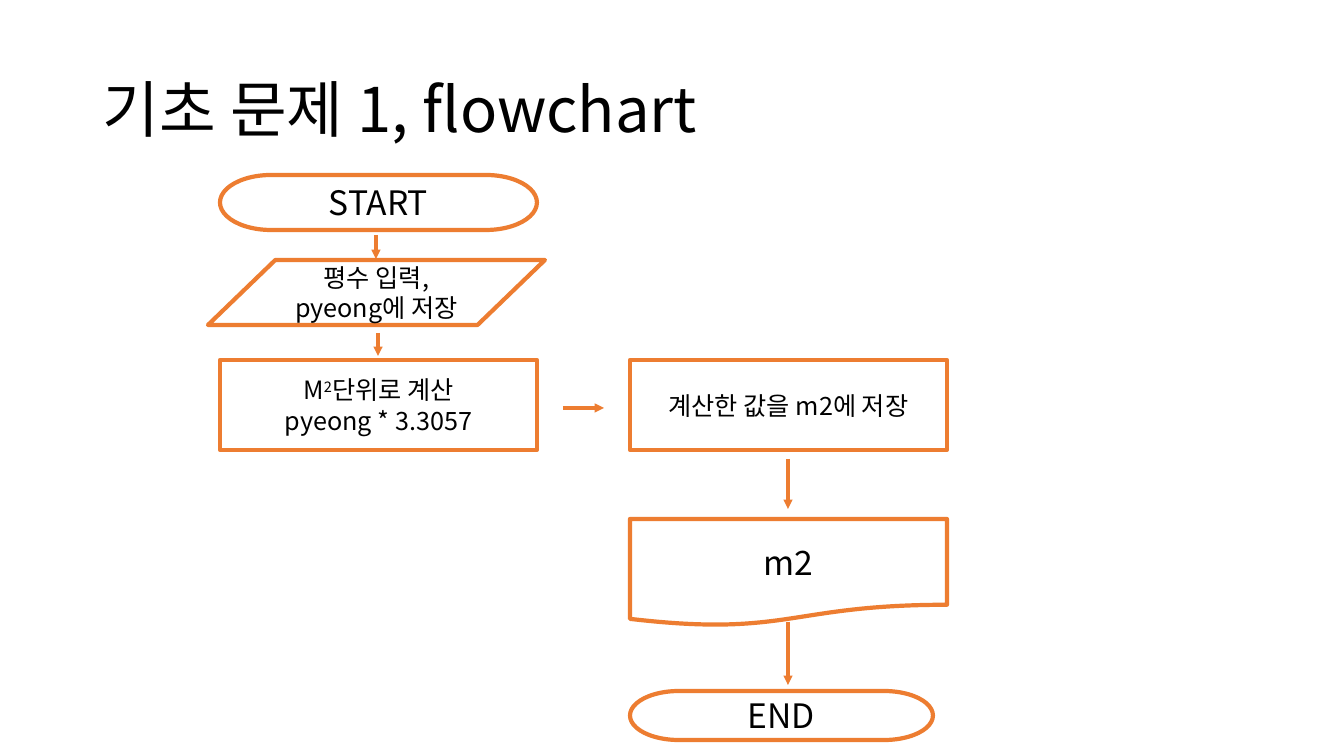
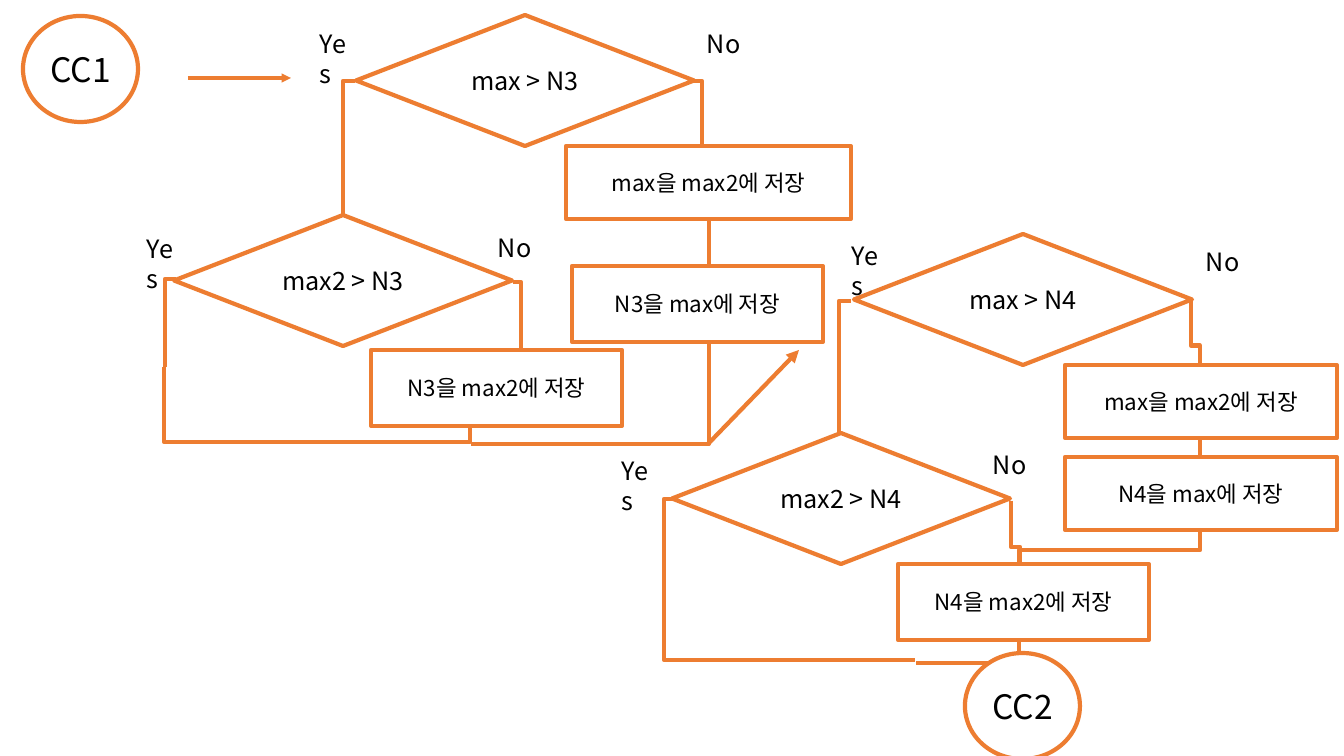
"""Build two flowchart slides: a unit conversion and a search for the two largest numbers."""
from dataclasses import dataclass

import lxml.etree
import pptx
import pptx.dml.color
import pptx.enum.shapes
import pptx.enum.text
import pptx.oxml.ns
import pptx.util

SHAPE = pptx.enum.shapes.MSO_SHAPE
CONNECTOR = pptx.enum.shapes.MSO_CONNECTOR
ALIGN = pptx.enum.text.PP_ALIGN
ANCHOR = pptx.enum.text.MSO_ANCHOR
qn = pptx.oxml.ns.qn
rgb = pptx.dml.color.RGBColor.from_string


@dataclass(frozen=True)
class Theme:
    font: str = "Noto Sans CJK KR"
    text: str = "000000"
    fill: str = "FFFFFF"
    accent: str = "ED7D31"
    title: int = 44
    terminal: int = 24
    body: int = 18
    small: int = 16
    outline: float = 3
    arrow: float = 2.25


THEME = Theme()
EMU_PER_PX = 914400 / 100.8
SLIDE_W, SLIDE_H = 1344, 756

KINDS = {
    "terminal": (SHAPE.FLOWCHART_TERMINATOR, THEME.terminal),
    "input": (SHAPE.FLOWCHART_DATA, THEME.body),
    "process": (SHAPE.RECTANGLE, THEME.body),
    "store": (SHAPE.RECTANGLE, THEME.small),
    "output": (SHAPE.FLOWCHART_DOCUMENT, THEME.terminal),
    "decision": (SHAPE.FLOWCHART_DECISION, THEME.body),
    "link": (SHAPE.OVAL, THEME.terminal),
}
DECISION = (338, 131)
LINK = (115, 106)
STEP = (317, 90)
STORE = (251, 76)
LABEL = (56, 40)

CONVERSION = {
    "title": ("기초 문제 1, flowchart", (93, 40, 1159, 146)),
    "nodes": [
        ("terminal", "START", (220, 175, 317, 55)),
        ("input", "평수 입력, pyeong에 저장", (208, 260, 337, 65)),
        ("process", "M^2^단위로 계산\npyeong * 3.3057", (220, 360, *STEP)),
        ("process", "계산한 값을 m2에 저장", (630, 360, *STEP)),
        ("output", "m2", (630, 519, 317, 107)),
        ("terminal", "END", (630, 691, 303, 49)),
    ],
    "arrows": [
        (376, 235, 376, 259, THEME.arrow),
        (378, 333, 378, 356, THEME.arrow),
        (563, 408, 604, 408, THEME.arrow),
        (788, 459, 788, 509, THEME.arrow),
        (788, 622, 788, 685, THEME.arrow),
    ],
}

TWO_LARGEST = {
    "nodes": [
        ("link", "CC1", (23, 16, *LINK)),
        ("decision", "max > N3", (356, 15, *DECISION)),
        ("decision", "max2 > N3", (174, 215, *DECISION)),
        ("decision", "max > N4", (854, 234, *DECISION)),
        ("decision", "max2 > N4", (672, 433, *DECISION)),
        ("store", "max을 max2에 저장", (566, 146, 285, 73)),
        ("store", "N3을 max에 저장", (572, 266, *STORE)),
        ("store", "N3을 max2에 저장", (371, 350, *STORE)),
        ("store", "max을 max2에 저장", (1065, 365, 272, 73)),
        ("store", "N4을 max에 저장", (1065, 457, 272, 73)),
        ("store", "N4을 max2에 저장", (898, 564, *STORE)),
        ("link", "CC2", (965, 653, *LINK)),
    ],
    "labels": {
        "Yes": [(310, 23), (137, 228), (842, 235), (612, 450)],
        "No": [(697, 23), (488, 227), (1196, 241), (983, 444)],
    },
    "across": [
        (355, 81, 343, 215, 1),
        (692, 81, 702, 173, 1),
        (471, 444, 709, 219, 1),
        (176, 279, 165, 367, 1),
        (513, 282, 521, 375, 1),
        (425, 442, 164, 367, 1),
        (421, 442, 519, 366, 0.5),
        (851, 301, 839, 437, 1),
        (675, 499, 664, 586, 1),
        (915, 660, 664, 585, 1),
        (916, 663, 1019, 585, 1),
    ],
    "down": [
        (1191, 299, 1200, 392, 0.5),
        (1019, 663, 1200, 437, 0.5),
        (1011, 501, 1020, 593, 0.5),
    ],
    "arrows": [
        (188, 78, 291, 78, THEME.arrow),
        (708, 444, 799, 350, THEME.outline),
    ],
}


def px(*lengths):
    return [round(n * EMU_PER_PX) for n in lengths]


def write(sp, text, size, align=ALIGN.LEFT, anchor=ANCHOR.TOP):
    tf = sp.text_frame
    tf.word_wrap = True
    tf.vertical_anchor = anchor
    for i, line in enumerate(text.split("\n")):
        p = tf.add_paragraph() if i else tf.paragraphs[0]
        p.alignment = align
        p.font.name = THEME.font
        p.font.size = pptx.util.Pt(size)
        p.font.color.rgb = rgb(THEME.text)
        latin = p.font._element.find(qn("a:latin"))
        ea = latin.makeelement(qn("a:ea"), {"typeface": THEME.font})
        latin.addnext(ea)
        for j, part in enumerate(line.split("^")):
            r = p.add_run()
            r.text = part
            if j % 2:
                r.font._element.set("baseline", "30000")
    return tf


def add_title(s, text, box):
    tf = write(s.shapes.add_textbox(*px(*box)), text, THEME.title, anchor=ANCHOR.MIDDLE)
    tf.paragraphs[0].line_spacing = 0.9


def add_node(s, kind, text, box):
    preset, size = KINDS[kind]
    sp = s.shapes.add_shape(preset, *px(*box))
    sp.shadow.inherit = False
    sp.fill.solid()
    sp.fill.fore_color.rgb = rgb(THEME.fill)
    sp.line.color.rgb = rgb(THEME.accent)
    sp.line.width = pptx.util.Pt(THEME.outline)
    write(sp, text, size, ALIGN.CENTER, ANCHOR.MIDDLE)


def add_line(s, kind, ends, width):
    line = s.shapes.add_connector(kind, *px(*ends))
    line.line.color.rgb = rgb(THEME.accent)
    line.line.width = pptx.util.Pt(width)
    lxml.etree.SubElement(line._element.spPr, qn("a:effectLst"))
    return line


def add_arrow(s, x1, y1, x2, y2, width):
    line = add_line(s, CONNECTOR.STRAIGHT, (x1, y1, x2, y2), width)
    ln = line._element.spPr.find(qn("a:ln"))
    lxml.etree.SubElement(ln, qn("a:tailEnd"), type="triangle")


def add_elbow(s, x1, y1, x2, y2, bend, down=False):
    if down:
        cx, cy = (x1 + x2) / 2, (y1 + y2) / 2
        dx, dy = (x2 - x1) / 2, (y2 - y1) / 2
        x1, y1, x2, y2 = cx - dy, cy + dx, cx + dy, cy - dx
    line = add_line(s, CONNECTOR.ELBOW, (x1, y1, x2, y2), THEME.outline)
    spPr = line._element.spPr
    if down:
        spPr.find(qn("a:xfrm")).set("rot", "5400000")
    guides = spPr.find(qn("a:prstGeom")).find(qn("a:avLst"))
    lxml.etree.SubElement(guides, qn("a:gd"), name="adj1", fmla=f"val {round(bend * 100000)}")


def add_flowchart(prs, chart):
    s = prs.slides.add_slide(prs.slide_layouts[6])
    if "title" in chart:
        add_title(s, *chart["title"])
    for wire in chart.get("across", []):
        add_elbow(s, *wire)
    for wire in chart.get("down", []):
        add_elbow(s, *wire, down=True)
    for node in chart["nodes"]:
        add_node(s, *node)
    for text, places in chart.get("labels", {}).items():
        for place in places:
            write(s.shapes.add_textbox(*px(*place, *LABEL)), text, THEME.body)
    for arrow in chart["arrows"]:
        add_arrow(s, *arrow)


prs = pptx.Presentation()
prs.slide_width, prs.slide_height = px(SLIDE_W, SLIDE_H)
for chart in (CONVERSION, TWO_LARGEST):
    add_flowchart(prs, chart)
prs.save("out.pptx")
